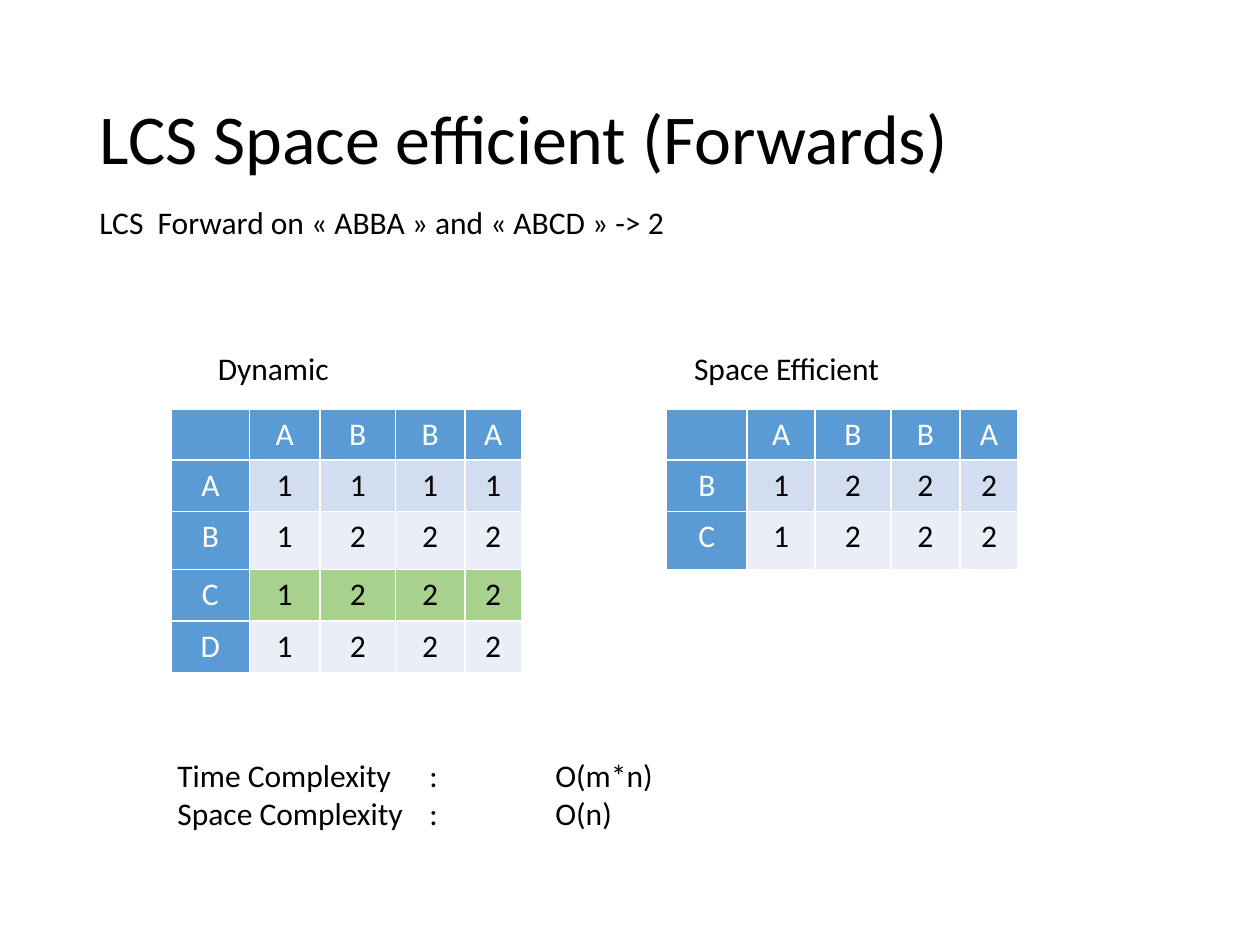
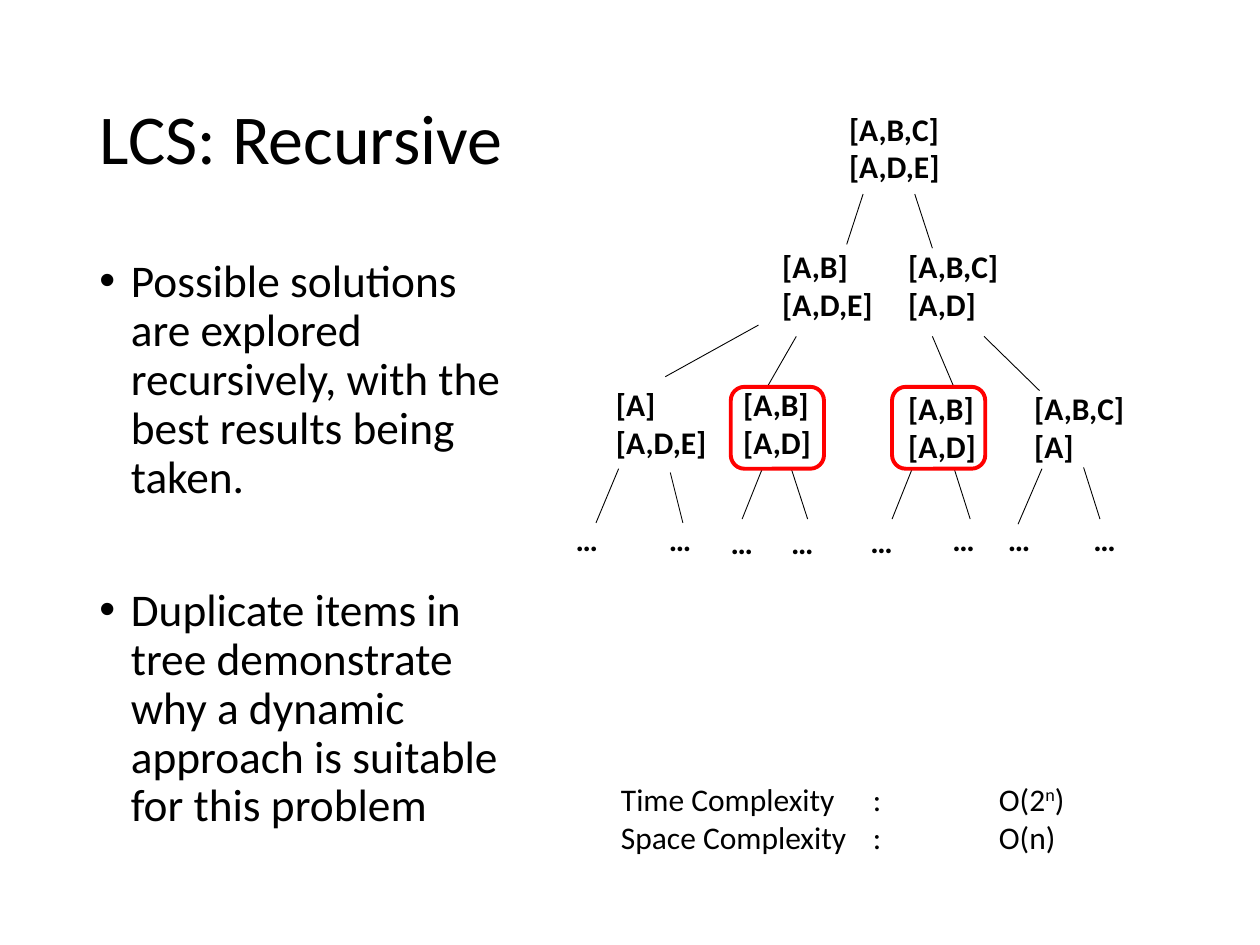
from lxml import etree
from pptx import Presentation
from pptx import util as u
from pptx.dml.color import RGBColor
from pptx.enum import shapes, text
from pptx.oxml import ns

BLACK = RGBColor(0x00, 0x00, 0x00)
WHITE = RGBColor(0xFF, 0xFF, 0xFF)
HEADER_BLUE = RGBColor(0x5B, 0x9B, 0xD5)
BANDS = (RGBColor(0xEA, 0xEF, 0xF7), RGBColor(0xD2, 0xDE, 0xEF))
MATCH_GREEN = RGBColor(0xA9, 0xD1, 0x8E)
DUPLICATE_RED = RGBColor(0xFF, 0x00, 0x00)

FONT = "Calibri"
GRID_COLUMNS, GRID_ROWS = 100, 75
UNIT = u.Inches(0.1)
TITLE_AREA = (6.9, 4, 86.2, 14.5)
TITLE_ONLY = 5

DYNAMIC = ["·ABBA", "A1111", "B1222", "C1222", "D1222"]
SPACE_EFFICIENT = ["·ABBA", "B1222", "C1222"]
ROW_HEIGHTS = (4, 4.1, 4.6, 4.1, 4.1)

REASONS = [
    "Possible solutions are explored recursively, with the best results being taken.",
    "Duplicate items in tree demonstrate why a dynamic approach is suitable for this problem",
]

SUBPROBLEMS = [
    (66.4, 8.2, "[A,B,C]", "[A,D,E]"),
    (61.1, 19.1, "[A,B]", "[A,D,E]"),
    (71.1, 19.1, "[A,B,C]", "[A,D]"),
    (47.9, 30.1, "[A]", "[A,D,E]"),
    (58, 30.1, "[A,B]", "[A,D]"),
    (71.1, 30.4, "[A,B]", "[A,D]"),
    (81.1, 30.4, "[A,B,C]", "[A]"),
]
BRANCHES = [
    (68.5, 15.4, 67.2, 19.4),
    (72.6, 15.4, 74, 19.7),
    (60.2, 25.8, 52.8, 29.9),
    (63.2, 26.7, 60.9, 30.7),
    (74, 26.7, 75.7, 30.7),
    (78.1, 26.7, 82.5, 31),
]
DEEPER_CALLS = [
    ((49.1, 37.2, 47.3, 41.5), (44.7, 40.8)),
    ((53.2, 37.5, 54.2, 41.5), (52.1, 40.8)),
    ((60.5, 37.2, 58.9, 41.2), (57, 41)),
    ((62.8, 37.2, 64.1, 41.2), (61.8, 41)),
    ((72.4, 37.2, 70.8, 41.2), (68.1, 40.9)),
    ((75.7, 37.1, 77, 41.2), (74.6, 40.8)),
    ((82.7, 37.2, 80.8, 41.6), (79, 40.8)),
    ((86, 37.1, 87.3, 41.2), (85.8, 40.8)),
]
DUPLICATE_COLUMNS = (58, 70.8)


def grid(*cells):
    """Turn grid columns or rows into lengths."""
    return [round(cell * UNIT) for cell in cells]


def write(frame, lines, size=18, color=BLACK, bold=False, align=text.PP_ALIGN.LEFT,
          spacing=None, gap=0):
    """Write one paragraph per line; parts between carets are raised."""
    for number, line in enumerate(lines):
        paragraph = frame.add_paragraph() if number else frame.paragraphs[0]
        paragraph.alignment = align
        paragraph.line_spacing = spacing
        if number and gap:
            paragraph.space_before = u.Pt(gap)
        for part_number, part in enumerate(line.split("^")):
            run = paragraph.add_run()
            run.text = part
            font = run.font
            font.name, font.size, font.bold = FONT, u.Pt(size), bold
            font.color.rgb = color
            if part_number % 2:
                run._r.get_or_add_rPr().set("baseline", "30000")
    return frame.paragraphs


def add_text(slide, area, lines, **style):
    """Add a wrapping text box and return its paragraphs."""
    frame = slide.shapes.add_textbox(*grid(*area)).text_frame
    frame.word_wrap = True
    return write(frame, lines, **style)


def add_titled_slide(deck, heading):
    """Add a title-only slide with the shared title style."""
    slide = deck.slides.add_slide(deck.slide_layouts[TITLE_ONLY])
    title = slide.shapes.title
    title.left, title.top, title.width, title.height = grid(*TITLE_AREA)
    title.text_frame.vertical_anchor = text.MSO_ANCHOR.MIDDLE
    write(title.text_frame, [heading], size=40, spacing=0.9)
    return slide


def add_bullets(slide, area, points):
    """Add bulleted points with a hanging indent."""
    for paragraph in add_text(slide, area, points, size=25.9, spacing=0.9, gap=48):
        properties = paragraph._p.get_or_add_pPr()
        indent = u.Inches(0.25)
        properties.set("marL", str(indent))
        properties.set("indent", str(-indent))
        etree.SubElement(properties, ns.qn("a:buFont"), typeface="Arial")
        etree.SubElement(properties, ns.qn("a:buChar"), char="•")


def add_complexity(slide, column, row, time):
    """Add the time and space costs, aligned on tab stops."""
    costs = [f"Time Complexity \t:\t{time}", "Space Complexity \t: \tO(n)"]
    for paragraph in add_text(slide, (column, row, 46.6, 7.1), costs):
        stops = etree.SubElement(paragraph._p.get_or_add_pPr(), ns.qn("a:tabLst"))
        for inches in (2, 3):
            etree.SubElement(stops, ns.qn("a:tab"), pos=str(u.Inches(inches)), algn="l")


def add_borders(cell):
    """Give a cell thin white borders on its four sides."""
    properties = cell._tc.get_or_add_tcPr()
    for position, side in enumerate(("lnL", "lnR", "lnT", "lnB")):
        border = etree.Element(ns.qn(f"a:{side}"), w=str(u.Pt(1)))
        fill = etree.SubElement(border, ns.qn("a:solidFill"))
        etree.SubElement(fill, ns.qn("a:srgbClr"), val=str(WHITE))
        properties.insert(position, border)


def add_lcs_table(slide, column, row, widths, scores, matched_row=None):
    """Add a table of LCS lengths with header row and column."""
    heights = ROW_HEIGHTS[:len(scores)]
    area = grid(column, row, sum(widths), sum(heights))
    table = slide.shapes.add_table(len(scores), len(widths), *area).table
    for table_column, width in zip(table.columns, grid(*widths)):
        table_column.width = width
    for y, (entries, height) in enumerate(zip(scores, grid(*heights))):
        table.rows[y].height = height
        for x, entry in enumerate(entries):
            cell = table.cell(y, x)
            is_header = x == 0 or y == 0
            band = MATCH_GREEN if y == matched_row else BANDS[y % 2]
            cell.fill.solid()
            cell.fill.fore_color.rgb = HEADER_BLUE if is_header else band
            add_borders(cell)
            if entry != "·":
                write(cell.text_frame, [entry], color=WHITE if is_header else BLACK,
                      align=text.PP_ALIGN.CENTER)


def add_branch(slide, ends):
    """Add a thin line between two calls of the tree."""
    branch = slide.shapes.add_connector(shapes.MSO_CONNECTOR.STRAIGHT, *grid(*ends))
    branch.line.color.rgb = BLACK
    branch.line.width = u.Pt(0.5)
    etree.SubElement(branch._element.spPr, ns.qn("a:effectLst"))


def add_duplicate_mark(slide, column):
    """Outline a repeated subproblem."""
    mark = slide.shapes.add_shape(shapes.MSO_SHAPE.ROUNDED_RECTANGLE,
                                  *grid(column, 30.7, 7.4, 6.5))
    mark.shadow.inherit = False
    mark.fill.background()
    mark.line.color.rgb = DUPLICATE_RED
    mark.line.width = u.Pt(2.25)


def build_forwards(deck):
    """Compare the dynamic and the space-efficient tables."""
    slide = add_titled_slide(deck, "LCS Space efficient (Forwards)")
    add_text(slide, (6.9, 15.6, 53.8, 4), ["LCS  Forward on « ABBA » and « ABCD » -> 2"])
    add_text(slide, (16.3, 27.2, 11.5, 4), ["Dynamic"])
    add_text(slide, (54.1, 27.2, 16.9, 4), ["Space Efficient"])
    add_lcs_table(slide, 13.6, 32.5, (6.2, 5.6, 6, 5.5, 4.5), DYNAMIC, matched_row=3)
    add_lcs_table(slide, 52.9, 32.5, (6.4, 5.4, 6, 5.5, 4.6), SPACE_EFFICIENT)
    add_complexity(slide, 13.1, 59.5, "O(m*n)")


def build_recursive(deck):
    """Show the tree of recursive calls and its duplicates."""
    slide = add_titled_slide(deck, "LCS: Recursive")
    add_bullets(slide, (6.9, 20, 34.1, 47.6), REASONS)
    for column, row, *sequences in SUBPROBLEMS:
        add_text(slide, (column, row, 9.3, 7.1), sequences, bold=True)
    for ends in BRANCHES:
        add_branch(slide, ends)
    for ends, corner in DEEPER_CALLS:
        add_branch(slide, ends)
        add_text(slide, (*corner, 9.2, 4), ["…"], bold=True)
    for column in DUPLICATE_COLUMNS:
        add_duplicate_mark(slide, column)
    add_complexity(slide, 48.3, 61.4, "O(2^n^)")


def main():
    """Build and save the two slides."""
    deck = Presentation()
    deck.slide_width, deck.slide_height = grid(GRID_COLUMNS, GRID_ROWS)
    build_forwards(deck)
    build_recursive(deck)
    deck.save("out.pptx")


if __name__ == "__main__":
    main()
